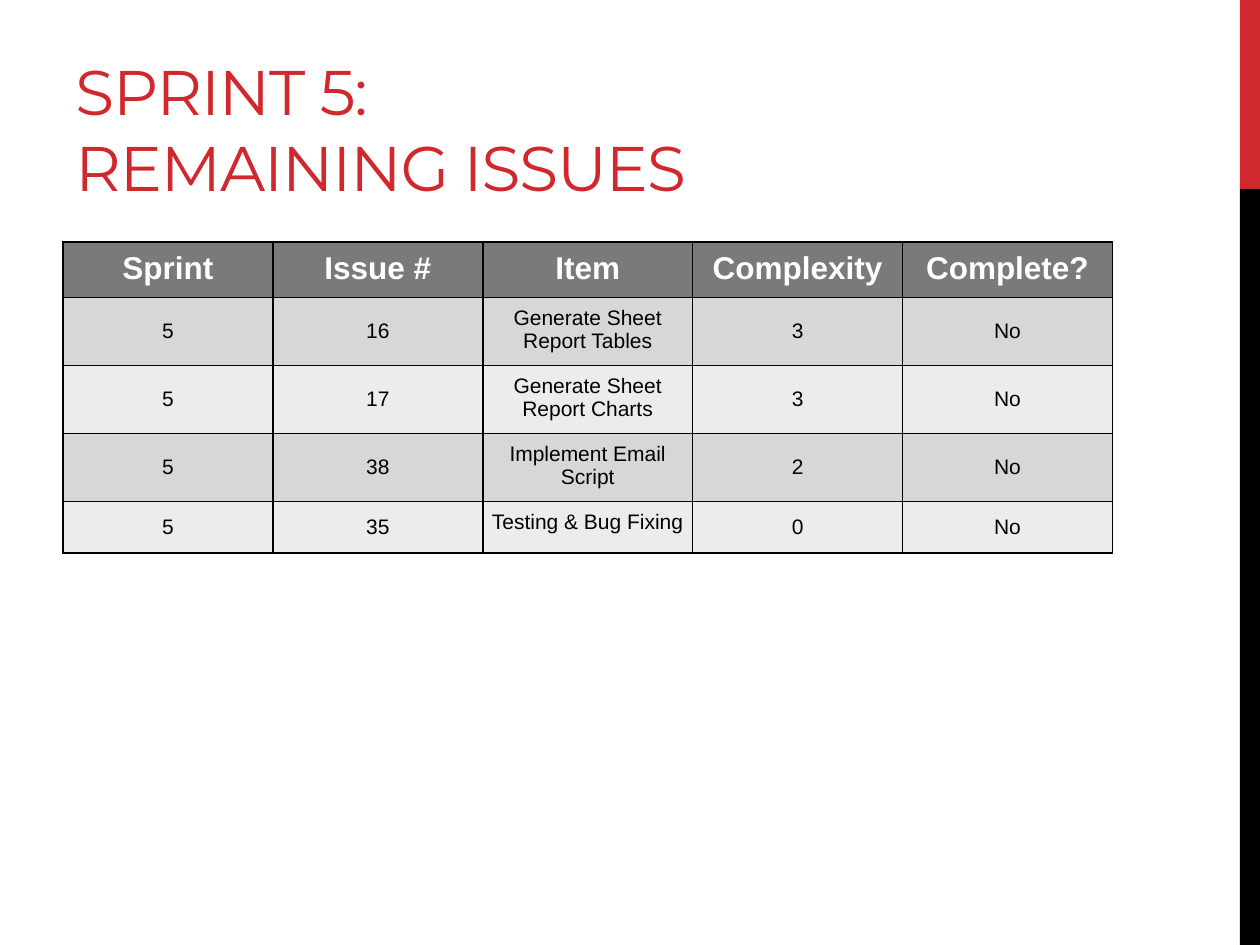
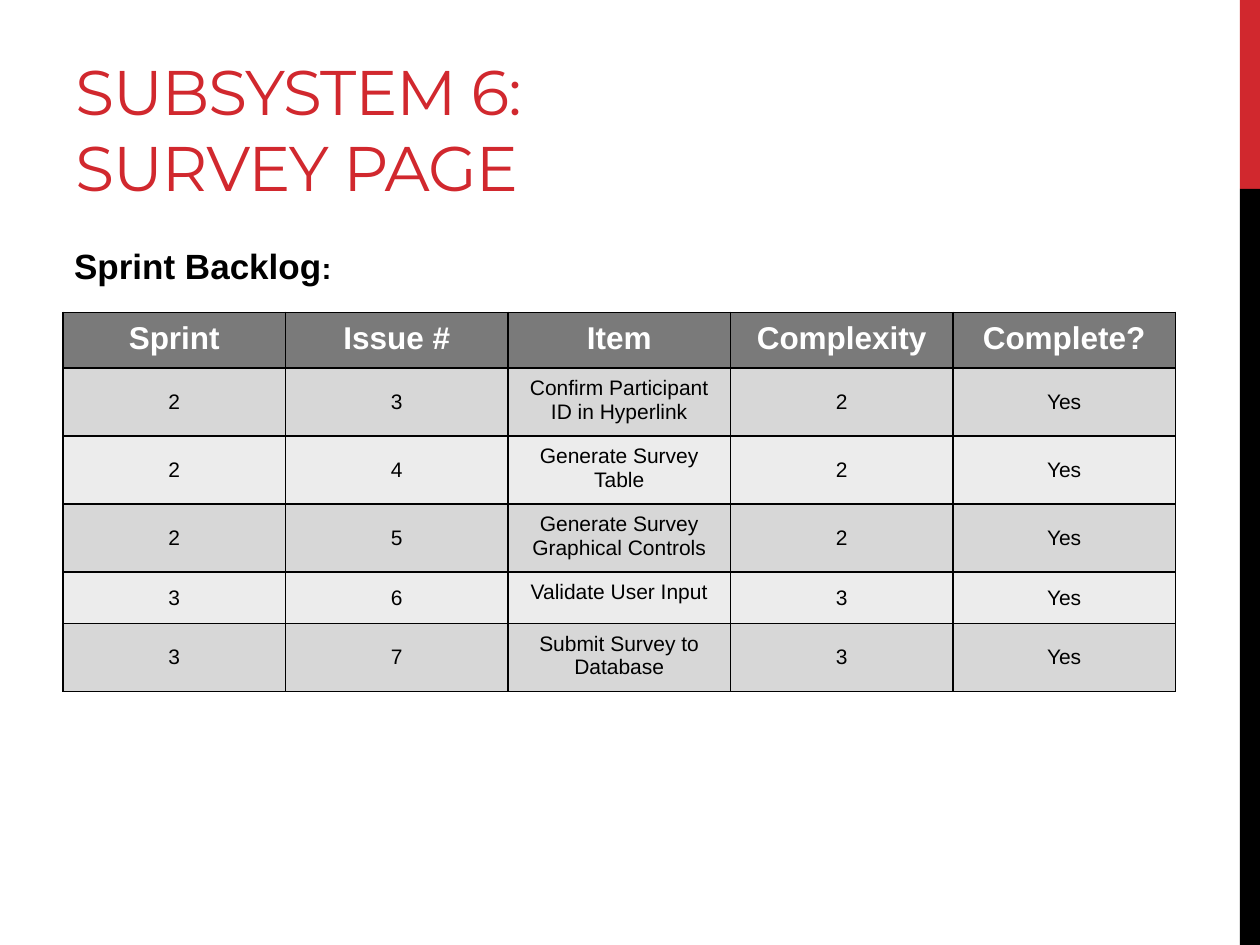
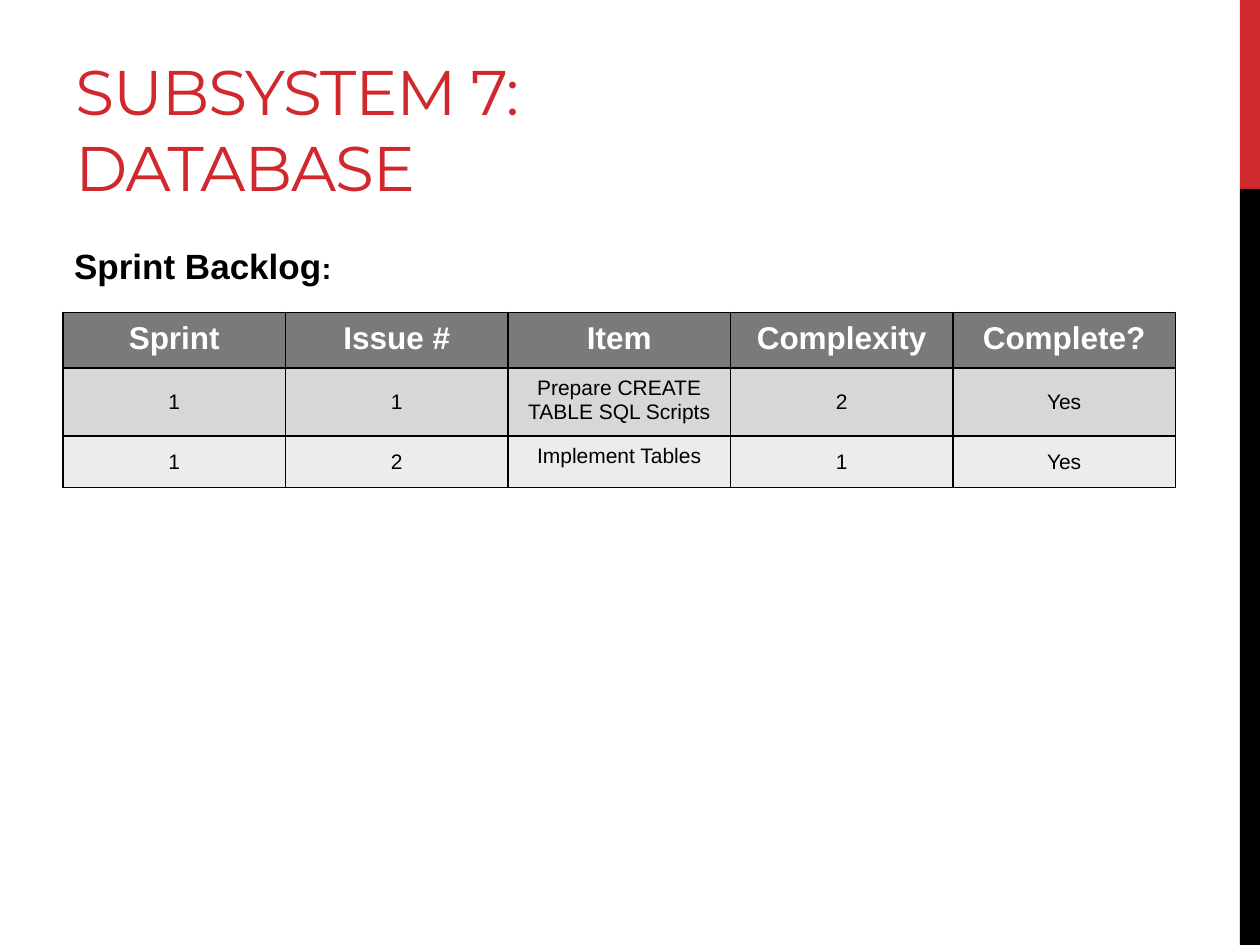
from lxml import etree
from pptx import Presentation
from pptx import util as u
from pptx.dml.color import RGBColor
from pptx.enum import shapes, text
from pptx.oxml import ns

# Shared style
RED = RGBColor(0xD1, 0x28, 0x2E)
BLACK = RGBColor(0, 0, 0)
WHITE = RGBColor(255, 255, 255)
HEAD = RGBColor(0x7A, 0x7A, 0x7A)
BANDS = RGBColor(0xD7, 0xD7, 0xD7), RGBColor(0xEC, 0xEC, 0xEC)
BODY, TITLE = "Arial", "Montserrat"
COLS = ["Sprint", "Issue #", "Item", "Complexity", "Complete?"]
ITEM = COLS.index("Item")


class Deck:
    """Holds the style and the current slide."""

    def __init__(self):
        self.prs = Presentation()
        self.prs.slide_width = u.Inches(10)
        self.prs.slide_height = u.Inches(7.5)
        self.slide = None

    def start(self, lines):
        self.slide = self.prs.slides.add_slide(self.prs.slide_layouts[6])
        self.band(0, 1.5, RED)
        self.band(1.5, 6, BLACK)
        self.title(lines)

    def band(self, top, height, color):
        bar = self.slide.shapes.add_shape(
            shapes.MSO_SHAPE.RECTANGLE, u.Inches(9.84), u.Inches(top),
            u.Inches(0.16), u.Inches(height))
        bar.shadow.inherit = False
        bar.fill.solid()
        bar.fill.fore_color.rgb = color
        bar.line.fill.background()

    def box(self, left, top, width, height, wrap=True):
        box = self.slide.shapes.add_textbox(*map(u.Inches, (left, top, width, height)))
        box.text_frame.word_wrap = wrap
        return box.text_frame

    def run(self, para, words, size, color=BLACK, bold=False, face=BODY):
        run = para.add_run()
        run.text = words
        font = run.font
        font.name, font.size, font.bold = face, u.Pt(size), bold
        font.color.rgb = color
        return run

    def title(self, lines):
        frame = self.box(0.5, 0.17, 6.33, 1.5)
        frame.vertical_anchor = text.MSO_ANCHOR.BOTTOM
        para = frame.paragraphs[0]
        for i, line in enumerate(lines):
            if i:
                para.add_line_break()
            run = self.run(para, line, 36, RED, face=TITLE)
            run._r.get_or_add_rPr().set("spc", "-60")

    def label(self):
        frame = self.box(0.49, 1.93, 2.26, 0.4, wrap=False)
        frame.auto_size = text.MSO_AUTO_SIZE.SHAPE_TO_FIT_TEXT
        para = frame.paragraphs[0]
        para.line_spacing = 0.9
        para.space_before, para.space_after = u.Pt(4), u.Pt(6)
        self.run(para, "Sprint Backlog", 20, bold=True)
        self.run(para, ":", 17, bold=True)

    def border(self, cell):
        props = cell._tc.get_or_add_tcPr()
        for side in ("lnL", "lnR", "lnT", "lnB"):
            line = etree.SubElement(props, ns.qn("a:" + side), w=str(u.Pt(1)))
            fill = etree.SubElement(line, ns.qn("a:solidFill"))
            etree.SubElement(fill, ns.qn("a:srgbClr"), val=str(BLACK))

    def cell(self, cell, words, fill, middle, **font):
        self.border(cell)
        cell.fill.solid()
        cell.fill.fore_color.rgb = fill
        cell.margin_left = cell.margin_right = u.Inches(0.07)
        cell.margin_top = cell.margin_bottom = u.Inches(0.07)
        cell.vertical_anchor = text.MSO_ANCHOR.MIDDLE if middle else text.MSO_ANCHOR.TOP
        para = cell.text_frame.paragraphs[0]
        para.alignment = text.PP_ALIGN.CENTER
        self.run(para, words, **font)

    def table(self, top, width, rows):
        count = len(rows) + 1
        grid = self.slide.shapes.add_table(
            count, len(COLS), u.Inches(0.5), u.Inches(top),
            u.Inches(width), u.Inches(0.41 * count)).table
        grid.horz_banding = False
        for c, name in enumerate(COLS):
            self.cell(grid.cell(0, c), name, HEAD, False,
                      size=18, color=WHITE, bold=True)
        for r, row in enumerate(rows):
            for c, words in enumerate(row):
                self.cell(grid.cell(r + 1, c), words, BANDS[r % 2], c != ITEM, size=12)


def main():
    deck = Deck()

    # Remaining issues
    deck.start(["SPRINT 5:", "REMAINING ISSUES"])
    deck.table(1.92, 8.33, [
        ("5", "16", "Generate Sheet Report Tables", "3", "No"),
        ("5", "17", "Generate Sheet Report Charts", "3", "No"),
        ("5", "38", "Implement Email Script", "2", "No"),
        ("5", "35", "Testing & Bug Fixing", "0", "No"),
    ])

    # Subsystem backlogs
    backlogs = [
        (["SUBSYSTEM 6:", "SURVEY PAGE"], [
            ("2", "3", "Confirm Participant ID in Hyperlink", "2", "Yes"),
            ("2", "4", "Generate Survey Table", "2", "Yes"),
            ("2", "5", "Generate Survey Graphical Controls", "2", "Yes"),
            ("3", "6", "Validate User Input", "3", "Yes"),
            ("3", "7", "Submit Survey to Database", "3", "Yes"),
        ]),
        (["SUBSYSTEM 7:", "DATABASE"], [
            ("1", "1", "Prepare CREATE TABLE SQL Scripts", "2", "Yes"),
            ("1", "2", "Implement Tables", "1", "Yes"),
        ]),
    ]
    for lines, rows in backlogs:
        deck.start(lines)
        deck.table(2.48, 8.83, rows)
        deck.label()

    deck.prs.save("out.pptx")


if __name__ == "__main__":
    main()
